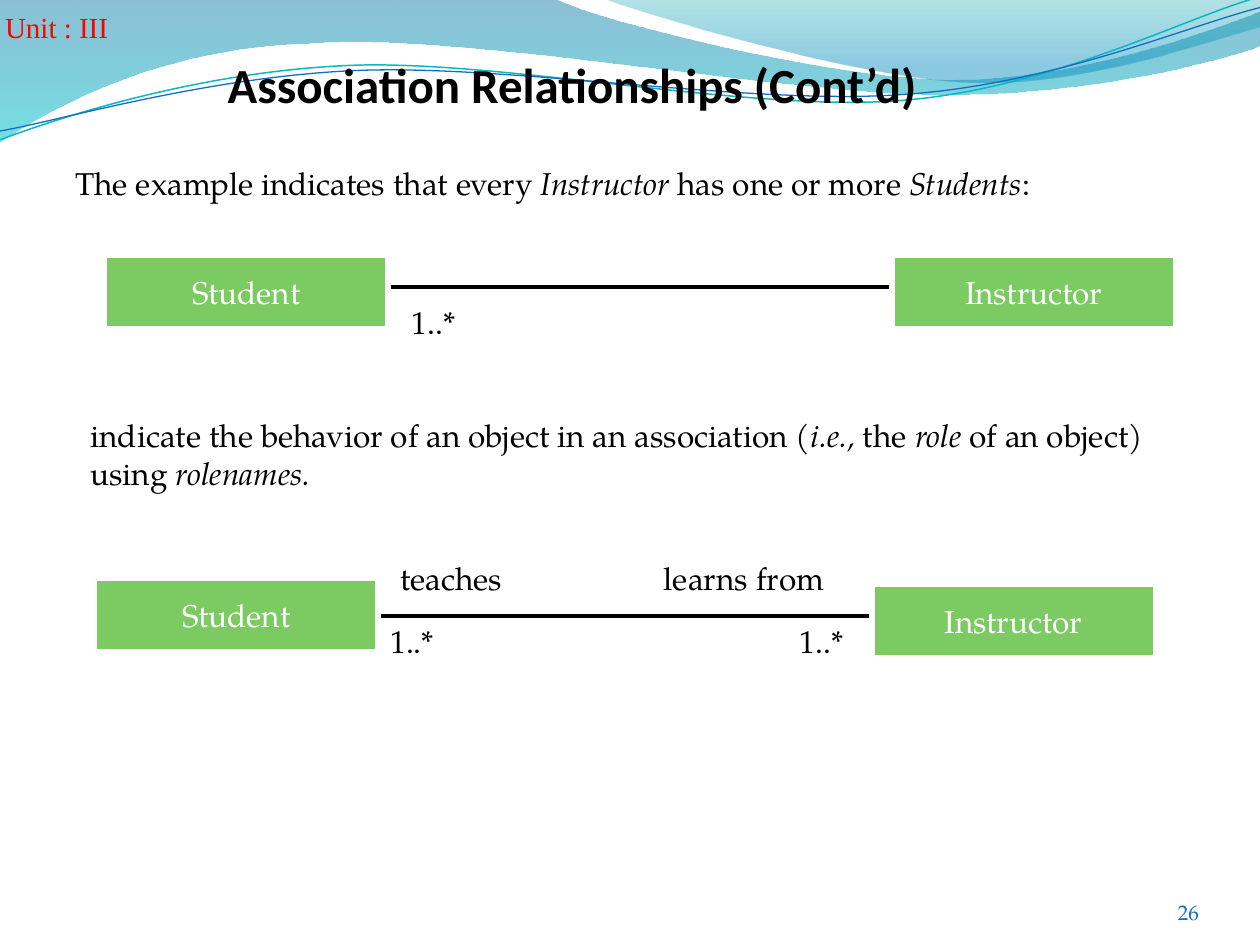
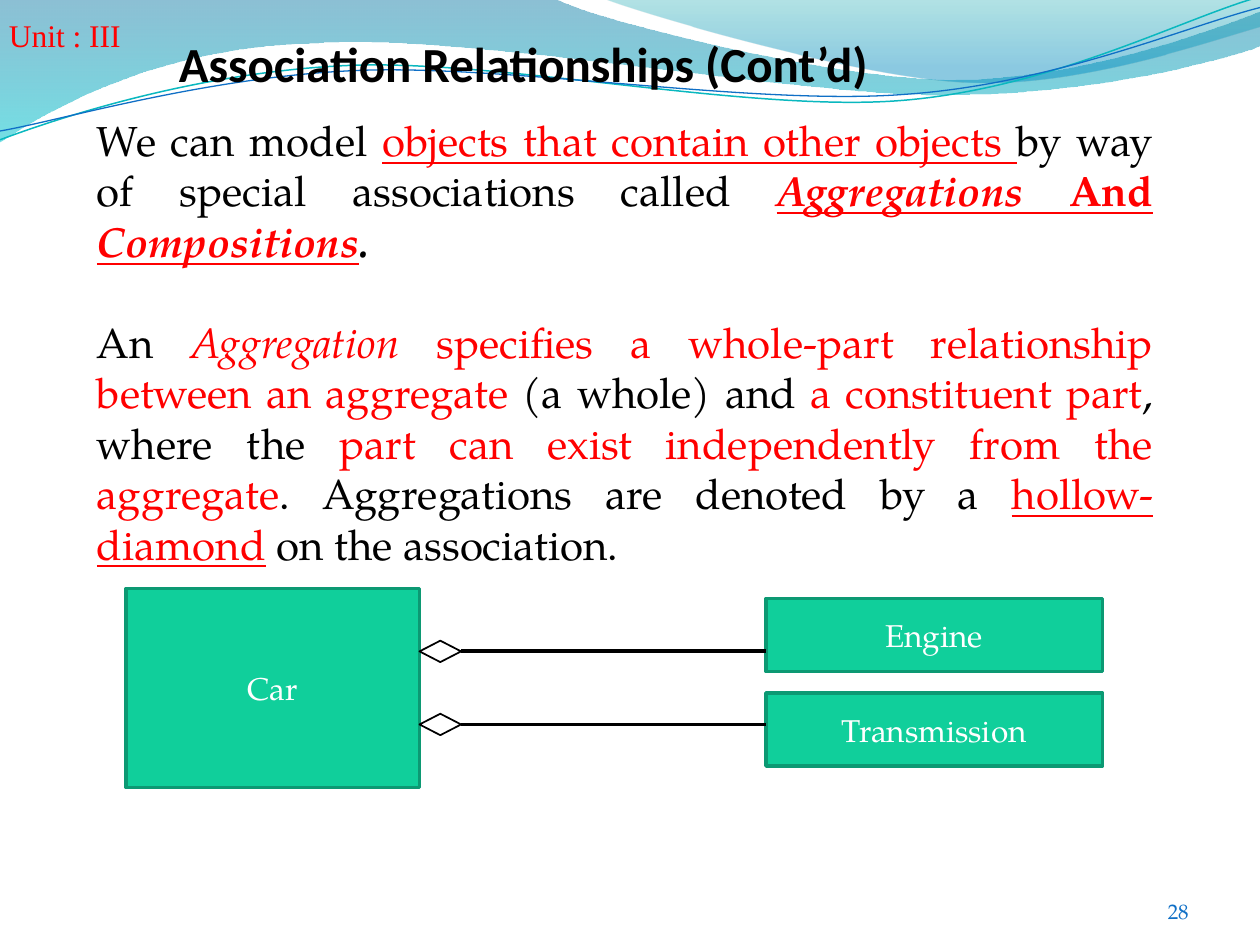
from dataclasses import dataclass

import lxml.etree
import pptx
import pptx.dml.color
import pptx.enum.shapes
import pptx.enum.text
import pptx.oxml.ns
import pptx.util

Inches = pptx.util.Inches
Pt = pptx.util.Pt
ALIGN = pptx.enum.text.PP_ALIGN
ANCHOR = pptx.enum.text.MSO_ANCHOR
SHAPE = pptx.enum.shapes.MSO_SHAPE
qn = pptx.oxml.ns.qn


@dataclass(frozen=True)
class Theme:
    ink: str = "000000"
    paper: str = "FFFFFF"
    accent: str = "FF0000"
    number: str = "0F6FC6"
    class_fill: str = "7CCA62"
    part_fill: str = "10CF9B"
    part_line: str = "0C9973"
    body_font: str = "TeX Gyre Pagella"
    title_font: str = "Calibri"
    unit_font: str = "Times New Roman"
    title_size: float = 28
    large_size: float = 24
    body_size: float = 18
    number_size: float = 12


THEME = Theme()
TITLE = "Association Relationships (Cont’d)"
FLUSH = (0, 0.05, 0, 0)

# Each wave: outline as start point, then points (2 numbers) or curves (6 numbers);
# then gradient stops (position, colour, opacity), or line colour and width.
FILLED_WAVES = [
    ([(0, 0), (4.4, -0.01), (4.76, 0.17, 6.64, 0.63, 7.58, 0.63),
      (8.53, 0.63, 9.58, 0.26, 10, 0.09), (10.01, 0.36),
      (9.83, 0.44, 8.7, 0.76, 7.46, 0.75), (6.22, 0.75, 3.82, 0.28, 2.57, 0.34),
      (1.29, 0.36, 0.46, 0.83, -0.01, 1.13)],
     [(0, "0074A1", 45), (1, "00C6CF", 55)]),
    ([(4.79, -0.01), (5.09, 0.11, 6.82, 0.62, 7.69, 0.65),
      (8.56, 0.69, 9.61, 0.32, 10, 0.21), (10, 0)],
     [(0, "00A1A9", 30), (0.8, "008BBF", 45)]),
]
LINE_WAVES = [
    ([(0, 1.11), (0.48, 0.93, 1.58, 0.57, 2.77, 0.52),
      (3.95, 0.47, 5.93, 0.89, 7.13, 0.8), (8.33, 0.71, 9.38, 0.15, 9.98, -0.02)],
     "0AB8BF", 0.85),
    ([(0, 1.04), (0.47, 0.96, 1.64, 0.61, 2.83, 0.56),
      (4.03, 0.51, 5.97, 0.84, 7.17, 0.75), (8.36, 0.67, 9.41, 0.21, 10, 0.06)],
     "0F6FC6", 0.75),
]


def color(code):
    return pptx.dml.color.RGBColor.from_string(code)


def lengths(box):
    return [Inches(value) for value in box]


def add_outline(page, outline, close):
    """Build the outline through its end points, then bend its curved segments."""
    ends = [lengths(part[-2:]) for part in outline]
    builder = page.shapes.build_freeform(*ends[0])
    builder.add_line_segments(ends[1:], close=close)
    shape = builder.convert_to_shape()
    shape.shadow.inherit = False
    segments = list(shape.element.iter(qn("a:lnTo")))
    for segment, part in zip(segments, outline[1:]):
        if len(part) == 2:
            continue
        curve = lxml.etree.Element(qn("a:cubicBezTo"))
        for x, y in zip(part[::2], part[1::2]):
            lxml.etree.SubElement(curve, qn("a:pt"), x=str(Inches(x) - shape.left),
                                  y=str(Inches(y) - shape.top))
        segment.getparent().replace(segment, curve)
    return shape


def add_master_waves(deck, page):
    """Draw the waves on a page, then move them behind everything on the master."""
    waves = []
    for outline, stops in FILLED_WAVES:
        wave = add_outline(page, outline, close=True)
        wave.line.fill.background()
        wave.fill.gradient()
        wave.fill.gradient_angle = 270
        for stop, (position, code, _) in zip(wave.fill.gradient_stops, stops):
            stop.position = position
            stop.color.rgb = color(code)
        tints = wave.element.spPr.iter(qn("a:srgbClr"))
        for tint, (_, _, opacity) in zip(tints, stops):
            lxml.etree.SubElement(tint, qn("a:alpha"), val=str(opacity * 1000))
        waves.append(wave)
    for outline, code, width in LINE_WAVES:
        wave = add_outline(page, outline, close=False)
        wave.fill.background()
        wave.line.color.rgb = color(code)
        wave.line.width = Pt(width)
        waves.append(wave)
    for order, wave in enumerate(waves):
        wave.element.nvSpPr.cNvPr.id = 100 + order
        deck.slide_master.shapes.element.insert(2 + order, wave.element)


def add_runs(para, runs, size, font=THEME.body_font, code=THEME.ink):
    """Each run is (text, marks): r accent colour, b bold, i italic, u underline."""
    for text, marks in runs:
        span = para.add_run()
        span.text = text
        span.font.name = font
        span.font.size = Pt(size)
        span.font.color.rgb = color(THEME.accent if "r" in marks else code)
        span.font.bold = "b" in marks
        span.font.italic = "i" in marks
        span.font.underline = "u" in marks


def set_frame(frame, anchor, margins):
    frame.word_wrap = True
    frame.auto_size = pptx.enum.text.MSO_AUTO_SIZE.NONE
    frame.vertical_anchor = anchor
    (frame.margin_left, frame.margin_top,
     frame.margin_right, frame.margin_bottom) = lengths(margins)


def add_text(page, box, paragraphs, size=THEME.body_size, align=ALIGN.LEFT,
             anchor=ANCHOR.TOP, margins=(0.1, 0.05, 0.1, 0.05), gap=0, **style):
    frame = page.shapes.add_textbox(*lengths(box)).text_frame
    set_frame(frame, anchor, margins)
    for index, runs in enumerate(paragraphs):
        para = frame.add_paragraph() if index else frame.paragraphs[0]
        para.alignment = align
        if index:
            para.space_before = Pt(gap)
        add_runs(para, runs, size, **style)


def add_label(page, left, top, width, text):
    add_text(page, (left, top, width, 0.5), [[(text, "")]])


def add_shape(page, kind, box, fill, line, width):
    shape = page.shapes.add_shape(kind, *lengths(box))
    shape.shadow.inherit = False
    shape.fill.solid()
    shape.fill.fore_color.rgb = color(fill)
    shape.line.color.rgb = color(line)
    shape.line.width = Pt(width)
    return shape


def add_class(page, box, name, fill, line, width):
    frame = add_shape(page, SHAPE.RECTANGLE, box, fill, line, width).text_frame
    frame.word_wrap = False
    frame.vertical_anchor = ANCHOR.MIDDLE
    para = frame.paragraphs[0]
    para.alignment = ALIGN.CENTER
    add_runs(para, [(name, "")], THEME.body_size, code=THEME.paper)


def add_link(page, left, right, y):
    link = page.shapes.add_connector(pptx.enum.shapes.MSO_CONNECTOR.STRAIGHT,
                                     *lengths((left, y, right, y)))
    link.line.color.rgb = color(THEME.ink)
    link.line.width = Pt(2.25)
    lxml.etree.SubElement(link.element.spPr, qn("a:effectLst"))


def add_page(deck, title_box, title_align, unit_box, unit_size, number, number_box):
    """Add a page with its title, unit mark and page number."""
    page = deck.slides.add_slide(deck.slide_layouts[5])
    title = page.shapes.title
    title.left, title.top, title.width, title.height = lengths(title_box)
    set_frame(title.text_frame, ANCHOR.BOTTOM, FLUSH)
    para = title.text_frame.paragraphs[0]
    para.alignment = title_align
    add_runs(para, [(TITLE, "b")], THEME.title_size, font=THEME.title_font)
    add_text(page, unit_box, [[("Unit : III", "r")]], unit_size, anchor=ANCHOR.BOTTOM,
             margins=FLUSH, font=THEME.unit_font)
    add_text(page, number_box, [[(number, "")]], THEME.number_size, code=THEME.number)
    return page


def add_association(page, box, link_drop, instructor_drop=0):
    """Join Student and Instructor across the box; return the link's ends and height."""
    left, top, width, height = box
    class_width = 2.25
    instructor_left = left + width - class_width
    start, y = left + class_width, top + link_drop
    add_link(page, start, start + 4, y)
    for name, x, drop in (("Instructor", instructor_left, instructor_drop),
                          ("Student", left, 0)):
        add_class(page, (x, top + drop, class_width, height), name,
                  THEME.class_fill, THEME.paper, 3)
    return start, start + 4, y


def add_aggregation(page, box, whole, parts):
    """Place the whole at the left and its parts at the right, joined by diamonds."""
    left, top, width, height = box
    whole_width, part_width, part_height, pitch = 2.33, 2.67, 0.58, 0.75
    diamond_width, diamond_height = 0.33, 0.17
    colors = THEME.part_fill, THEME.part_line, 2
    joint, part_left = left + whole_width, left + width - part_width
    add_class(page, (left, top, whole_width, height), whole, *colors)
    for index, part in enumerate(parts):
        add_class(page, (part_left, top + 0.08 + index * pitch, part_width, part_height),
                  part, *colors)
        y = top + 0.5 + index * part_height
        add_link(page, joint + diamond_width, part_left, y)
        add_shape(page, SHAPE.DIAMOND,
                  (joint, y - diamond_height / 2, diamond_width, diamond_height),
                  THEME.paper, THEME.ink, 1)


def add_roles_page(deck):
    page = add_page(deck, (1.58, 0.32, 5.92, 0.58), ALIGN.CENTER,
                    (0.04, 0.03, 1.12, 0.32), 16.6, "26", (9.25, 7.09, 0.83, 0.4))
    add_text(page, (0.5, 1.25, 8.87, 0.4), [[
        ("The example indicates that every ", ""), ("Instructor", "i"),
        (" has one or more ", ""), ("Students", "i"), (":", "")]])
    start, _, y = add_association(page, (0.83, 2.03, 8.5, 0.58), 0.25)
    add_label(page, start + 0.09, y + 0.08, 0.75, "1..*")

    add_text(page, (0.62, 3.25, 8.67, 0.71), [[
        ("indicate the behavior of an object in an association (", ""), ("i.e.,", "i"),
        (" the ", ""), ("role ", "i"), ("of an object) using ", ""),
        ("rolenames.", "i")]])
    start, end, y = add_association(page, (0.75, 4.59, 8.42, 0.58), 0.3,
                                    instructor_drop=0.05)
    add_label(page, end - 0.75, y, 0.75, "1..*")
    add_label(page, start, y, 0.75, "1..*")
    add_label(page, end - 1.83, y - 0.5, 1.75, "learns from")
    add_label(page, start + 0.08, y - 0.5, 1.25, "teaches")
    return page


def add_aggregation_page(deck):
    page = add_page(deck, (1.42, 0.15, 5.67, 0.58), ALIGN.LEFT,
                    (0.07, 0.04, 1.12, 0.39), 18, "28", (9.17, 7.08, 0.83, 0.4))
    add_text(page, (0.67, 0.86, 8.58, 3.74), [
        [("We can model ", ""), ("objects that contain other objects ", "ru"),
         ("by way of special associations called ", ""), ("Aggregations", "rbiu"),
         (" And ", "rbu"), ("Compositions", "rbiu"), (".", "bi")],
        [("An ", ""), ("Aggregation ", "ri"),
         ("specifies a whole-part relationship between an aggregate ", "r"),
         ("(a whole) and ", ""), ("a constituent part", "r"), (", where the ", ""),
         ("part can exist independently from the aggregate", "r"),
         (". Aggregations are denoted by a ", ""), ("hollow-diamond", "ru"),
         (" on the association.", "")],
    ], THEME.large_size, align=ALIGN.JUSTIFY, gap=29)
    add_aggregation(page, (1, 4.67, 7.75, 1.58), "Car", ["Engine", "Transmission"])


def main():
    deck = pptx.Presentation()
    deck.slide_width, deck.slide_height = Inches(10), Inches(7.5)
    roles_page = add_roles_page(deck)
    add_aggregation_page(deck)
    add_master_waves(deck, roles_page)
    deck.save("out.pptx")


if __name__ == "__main__":
    main()
